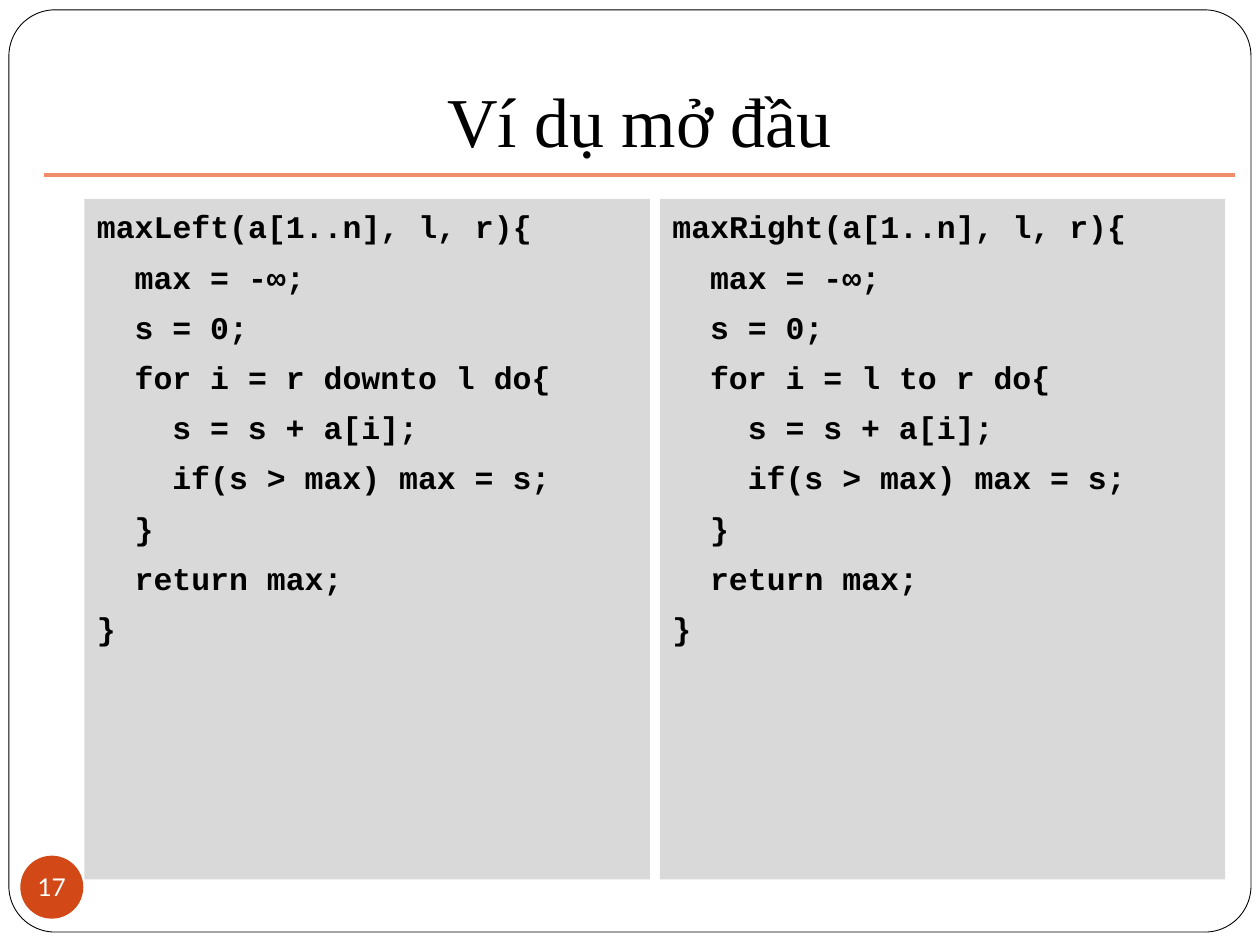
import pptx
import pptx.util
import pptx.dml.color
import pptx.enum.shapes
import pptx.enum.text
import pptx.oxml.ns
from lxml import etree

Cm, Pt = pptx.util.Cm, pptx.util.Pt
Shape = pptx.enum.shapes.MSO_SHAPE
Align = pptx.enum.text.PP_ALIGN
Anchor = pptx.enum.text.MSO_ANCHOR
RGBColor = pptx.dml.color.RGBColor

BLACK = RGBColor(0x00, 0x00, 0x00)
WHITE = RGBColor(0xFF, 0xFF, 0xFF)
GREY = RGBColor(0xD9, 0xD9, 0xD9)
ORANGE = RGBColor(0xD3, 0x48, 0x17)
SALMON = RGBColor(0xEF, 0x8C, 0x6A)

# Content
TITLE = "Ví dụ mở đầu"
PAGE_NUMBER = "17"
FUNCTIONS = [("maxLeft", "r downto l"), ("maxRight", "l to r")]


def code_lines(name, loop):
    """Return (indent level, text) pairs for one function."""
    return [
        (0, f"{name}(a[1..n], l, r){{"),
        (1, "max = -∞;"),
        (1, "s = 0;"),
        (1, f"for i = {loop} do{{"),
        (2, "s = s + a[i];"),
        (2, "if(s > max) max = s;"),
        (1, "}"),
        (1, "return max;"),
        (0, "}"),
    ]


def write(para, text, font, size, color=BLACK, bold=False, align=Align.LEFT):
    para.alignment = align
    span = para.add_run()
    span.text = text
    span.font.name, span.font.size, span.font.bold = font, Pt(size), bold
    span.font.color.rgb = color


def place(box, left, top, width, height):
    box.left, box.top, box.width, box.height = map(Cm, (left, top, width, height))


def fill(box, color):
    box.fill.solid()
    box.fill.fore_color.rgb = color


deck = pptx.Presentation()
deck.slide_width, deck.slide_height = Cm(25.4), Cm(19.05)
page = deck.slides.add_slide(deck.slide_layouts[3])
title, *panels = page.placeholders

# Rounded page frame, behind everything
frame = page.shapes.add_shape(
    Shape.ROUNDED_RECTANGLE, Cm(0.18), Cm(0.2), Cm(25.04), Cm(18.59))
frame.adjustments[0] = 0.05
frame.shadow.inherit = False
fill(frame, WHITE)
frame.line.color.rgb = BLACK
frame.line.width = Pt(0.5)
page.shapes._spTree.insert(2, frame._element)

# Title and the rule below it
place(title, 0.89, 0.33, 24, 3.18)
title.text_frame.vertical_anchor = Anchor.BOTTOM
title.text_frame.margin_bottom = Cm(0.25)
title.text_frame.auto_size = pptx.enum.text.MSO_AUTO_SIZE.NONE
write(title.text_frame.paragraphs[0], TITLE, "Times New Roman", 40,
      align=Align.CENTER)

rule = page.shapes.add_connector(
    pptx.enum.shapes.MSO_CONNECTOR.STRAIGHT, Cm(0.89), Cm(3.53), Cm(24.89), Cm(3.53))
rule.line.color.rgb = SALMON
rule.line.width = Pt(2)
etree.SubElement(rule._element.spPr, pptx.oxml.ns.qn("a:effectLst"))

# Page number badge
badge = page.shapes.add_shape(Shape.OVAL, Cm(0.41), Cm(17.25), Cm(1.27), Cm(1.27))
badge.shadow.inherit = False
fill(badge, ORANGE)
badge.line.fill.background()
label = badge.text_frame
label.margin_left = label.margin_right = label.margin_top = label.margin_bottom = 0
label.word_wrap = False
label.vertical_anchor = Anchor.MIDDLE
write(label.paragraphs[0], PAGE_NUMBER, "Lato", 14, WHITE, align=Align.CENTER)

# Code panels, side by side
PANEL_WIDTH, PANEL_GAP = 11.4, 0.2
INDENT = 0.76
for column, (panel, function) in enumerate(zip(panels, FUNCTIONS)):
    place(panel, 1.7 + column * (PANEL_WIDTH + PANEL_GAP), 4.01, PANEL_WIDTH, 13.72)
    fill(panel, GREY)
    code = panel.text_frame
    code.auto_size = pptx.enum.text.MSO_AUTO_SIZE.NONE
    for row, (level, text) in enumerate(code_lines(*function)):
        para = code.add_paragraph() if row else code.paragraphs[0]
        para.space_before = Pt(5.8)
        para.line_spacing = 1.06
        write(para, text, "Courier New", 18, bold=True)
        properties = para._p.get_or_add_pPr()
        properties.set("marL", str(Cm(level * INDENT)))
        properties.set("indent", "0")
        etree.SubElement(properties, pptx.oxml.ns.qn("a:buNone"))

deck.save("out.pptx")
